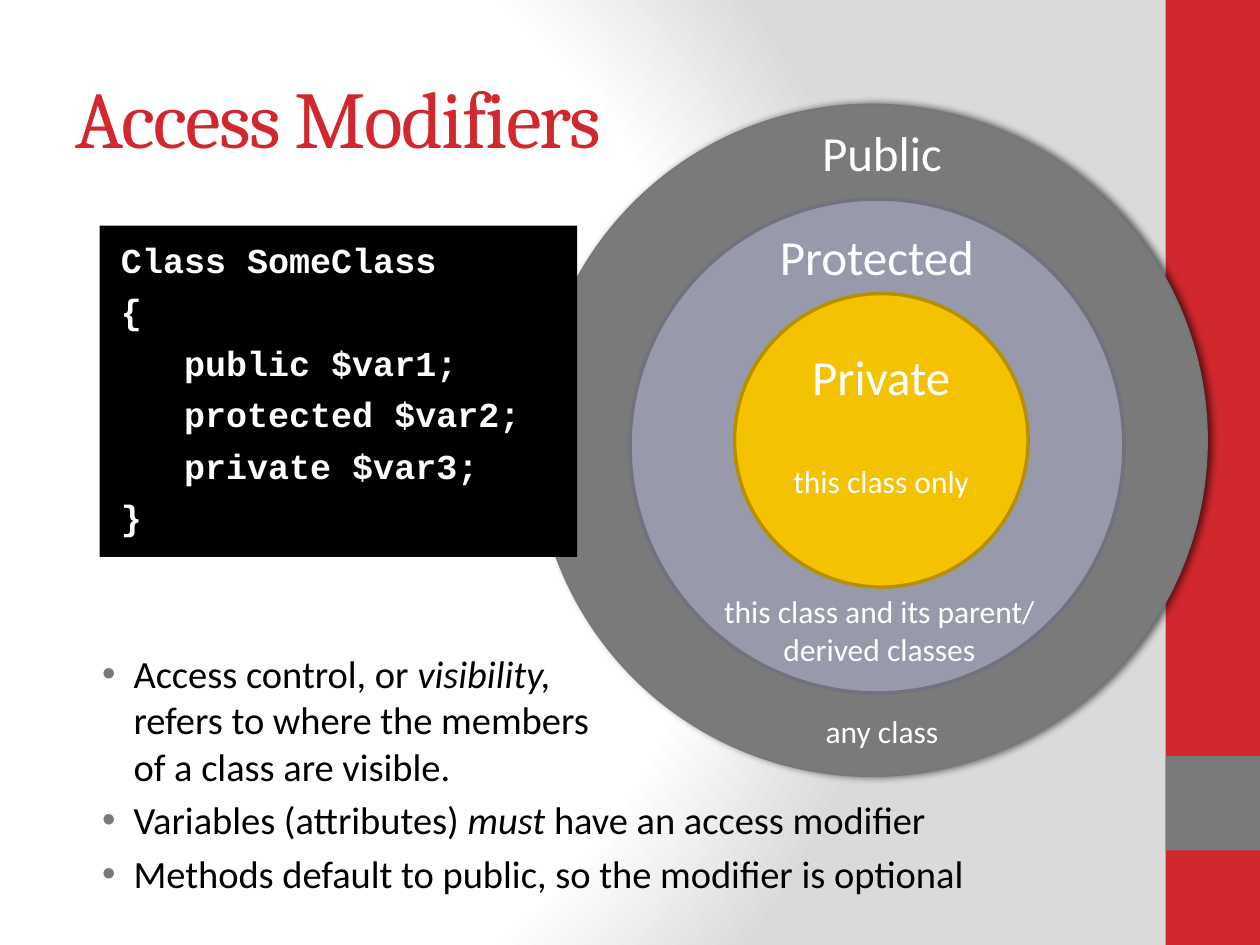
from lxml import etree
from pptx import Presentation
from pptx.dml.color import RGBColor
from pptx.enum.shapes import MSO_SHAPE as SHAPE
from pptx.enum.text import MSO_ANCHOR as ANCHOR, MSO_AUTO_SIZE as AUTO, PP_ALIGN as ALIGN
from pptx.oxml import parse_xml
from pptx.oxml.ns import nsdecls, qn
from pptx.util import Inches, Pt

RED, GRAY, WHITE, BLACK = "D1282E", "7A7A7A", "FFFFFF", "000000"


def add_run(p, text, size, color, name="Calibri", bold=False, italic=False):
    r = p.add_run()
    r.text = text
    r.font.size, r.font.name = Pt(size), name
    r.font.bold, r.font.italic = bold, italic
    r.font.color.rgb = RGBColor.from_string(color)
    return r


def add_filled(kind, left, top, width, height, fill, line=None, line_width=1):
    sp = s.shapes.add_shape(kind, Inches(left), Inches(top), Inches(width), Inches(height))
    sp.shadow.inherit = False
    sp.fill.solid()
    sp.fill.fore_color.rgb = RGBColor.from_string(fill)
    if line:
        sp.line.color.rgb = RGBColor.from_string(line)
        sp.line.width = Pt(line_width)
    else:
        sp.line.fill.background()
    return sp


prs = Presentation()
prs.slide_width, prs.slide_height = Inches(10), Inches(7.5)
s = prs.slides.add_slide(prs.slide_layouts[1])

# Background: white glow fading to gray on the right
s.background.fill.solid()
bg_pr = s.background.fill._xPr
bg_pr.replace(bg_pr.find(qn("a:solidFill")), parse_xml(
    f'<a:gradFill rotWithShape="1" {nsdecls("a")}><a:gsLst>'
    '<a:gs pos="0"><a:srgbClr val="FFFFFF"/></a:gs>'
    '<a:gs pos="75000"><a:srgbClr val="FFFFFF"/></a:gs>'
    '<a:gs pos="100000"><a:srgbClr val="DADADA"/></a:gs></a:gsLst>'
    '<a:path path="circle"><a:fillToRect l="20000" t="50000" r="100000" b="50000"/></a:path>'
    '</a:gradFill>'))

# Side bar
add_filled(SHAPE.RECTANGLE, 9.25, 0, 0.75, 7.5, RED)
add_filled(SHAPE.RECTANGLE, 9.25, 6, 0.75, 0.75, GRAY)

# Title
title = s.shapes.title
title.left, title.top, title.width, title.height = map(Inches, (0.5, 0.3, 8.33, 1.25))
tf = title.text_frame
tf.vertical_anchor = ANCHOR.MIDDLE
p = tf.paragraphs[0]
p.alignment = ALIGN.LEFT
r = add_run(p, "Access Modifiers", 46, RED, "Cambria")
r.font._element.set("spc", "-100")

# Nested visibility circles
public = add_filled(SHAPE.OVAL, 4.25, 0.83, 5.33, 5.33, GRAY, "777777", 1)
add_filled(SHAPE.OVAL, 5, 1.58, 3.92, 3.92, "989AAC", "70727F", 2)
private = add_filled(SHAPE.OVAL, 5.83, 2.33, 2.33, 2.33, "F5C201", "B59001", 2)

effects = public._element.spPr.find(qn("a:effectLst"))
shadow = etree.SubElement(effects, qn("a:outerShdw"), blurRad=str(Pt(4)), dist=str(Pt(2)), dir="0")
shadow_color = etree.SubElement(shadow, qn("a:srgbClr"), val=BLACK)
etree.SubElement(shadow_color, qn("a:alpha"), val="60000")

tf = private.text_frame
tf.margin_left = tf.margin_right = 0
tf.margin_bottom = Inches(0.32)
tf.vertical_anchor = ANCHOR.MIDDLE
p = tf.paragraphs[0]
p.alignment = ALIGN.CENTER
add_run(p, "Private", 28, WHITE)
p = tf.add_paragraph()
p.alignment = ALIGN.CENTER
p.space_before = Pt(32)
add_run(p, "this class only", 18, WHITE)

# Labels: centre x, top, height, size, lines
labels = [
    (6.96, 1.75, 0.57, 28, ["Protected"]),
    (7, 0.92, 0.57, 28, ["Public"]),
    (6.98, 4.65, 0.71, 18, ["this class and its parent/", "derived classes"]),
    (7, 5.6, 0.4, 18, ["any class"]),
]
label_width = 2.9
for center, top, height, size, lines in labels:
    box = s.shapes.add_textbox(Inches(center - label_width / 2), Inches(top),
                               Inches(label_width), Inches(height))
    tf = box.text_frame
    tf.word_wrap = True
    p = tf.paragraphs[0]
    p.alignment = ALIGN.CENTER
    for i, line in enumerate(lines):
        if i:
            p.add_line_break()
        add_run(p, line, size, WHITE)

# Code panel
code = [
    "Class SomeClass",
    "{",
    "   public $var1;",
    "   protected $var2;",
    "   private $var3;",
    "}",
]
panel = add_filled(SHAPE.RECTANGLE, 0.79, 1.79, 3.79, 2.63, BLACK)
tf = panel.text_frame
tf.vertical_anchor = ANCHOR.TOP
tf.margin_left, tf.margin_top = Inches(0.17), Inches(0.1)
for i, line in enumerate(code):
    p = tf.add_paragraph() if i else tf.paragraphs[0]
    p.alignment = ALIGN.LEFT
    p.space_before = Pt(5.4 if i else 0)
    add_run(p, line, 20, WHITE, "Courier New", bold=True)

# Bullets: each is a list of lines, each line a list of (text, italic)
bullets = [
    [[("Access control, or ", False), ("visibility,", True)],
     [("refers to where the members", False)],
     [("of a class are visible.", False)]],
    [[("Variables (attributes) ", False), ("must ", True), ("have an access modifier", False)]],
    [[("Methods default to public, so the modifier is optional", False)]],
]
body = s.placeholders[1]
body.left, body.top, body.width, body.height = map(Inches, (0.58, 5.11, 8.33, 2.2))
tf = body.text_frame
tf.auto_size = AUTO.NONE
tf.vertical_anchor = ANCHOR.TOP
for i, lines in enumerate(bullets):
    p = tf.add_paragraph() if i else tf.paragraphs[0]
    pPr = p._p.get_or_add_pPr()
    pPr.set("marL", str(Inches(0.38)))
    pPr.set("indent", str(Inches(-0.25)))
    bullet_color = etree.SubElement(pPr, qn("a:buClr"))
    etree.SubElement(bullet_color, qn("a:srgbClr"), val=GRAY)
    etree.SubElement(pPr, qn("a:buFont"), typeface="Arial")
    etree.SubElement(pPr, qn("a:buChar"), char="•")
    p.space_before = Pt(4.4 if i else 0)
    for j, line in enumerate(lines):
        if j:
            p.add_line_break()
        for text, italic in line:
            add_run(p, text, 22, BLACK, italic=italic)

prs.save("out.pptx")
